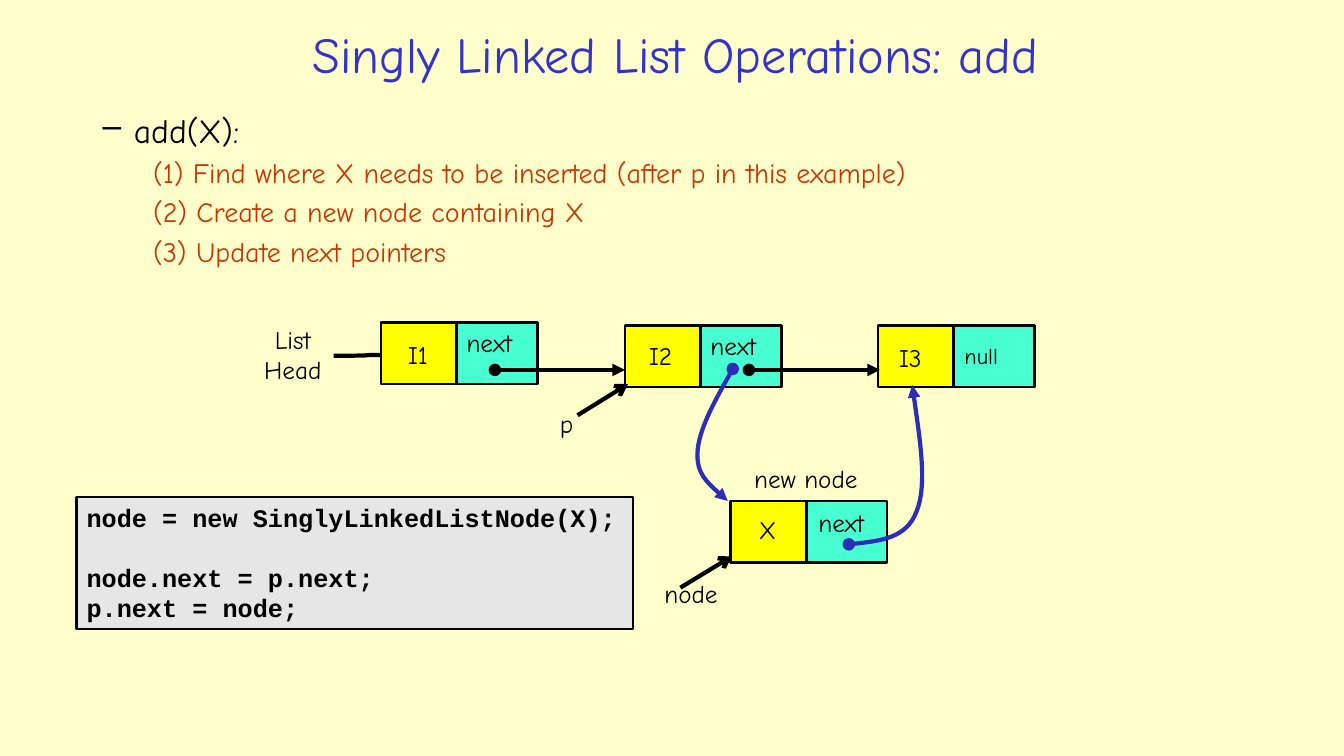
from lxml import etree
from pptx import Presentation
from pptx.dml.color import RGBColor
from pptx.enum.shapes import MSO_CONNECTOR, MSO_SHAPE
from pptx.enum.text import MSO_ANCHOR, MSO_AUTO_SIZE, PP_ALIGN
from pptx.oxml.ns import qn
from pptx.util import Inches, Pt

CELL = Inches(0.1)  # one column or row of the grid
COLUMNS, ROWS = 133.33, 75

CREAM = RGBColor(0xFF, 0xFF, 0xCC)
BLUE = RGBColor(0x33, 0x33, 0xCC)
DEEP_BLUE = RGBColor(0x2D, 0x2D, 0xB9)
RED = RGBColor(0xCC, 0x33, 0x00)
BLACK = RGBColor(0, 0, 0)
TEAL = RGBColor(0x47, 0xFF, 0xD1)
YELLOW = RGBColor(0xFF, 0xFF, 0x00)
GREY = RGBColor(0xE6, 0xE6, 0xE6)

LEFT, CENTER = PP_ALIGN.LEFT, PP_ALIGN.CENTER
TOP, MIDDLE = MSO_ANCHOR.TOP, MSO_ANCHOR.MIDDLE
FIT_SHAPE = MSO_AUTO_SIZE.SHAPE_TO_FIT_TEXT
RECTANGLE = MSO_SHAPE.RECTANGLE
STRAIGHT, CURVE = MSO_CONNECTOR.STRAIGHT, MSO_CONNECTOR.CURVE

LABEL = {"name": "Comic Neue", "size": Pt(18)}
NULL = LABEL | {"size": Pt(16)}
TITLE = LABEL | {"size": Pt(36)}
HEADING = LABEL | {"size": Pt(24)}
STEP = LABEL | {"size": Pt(20)}
CODE = {"name": "Courier New", "size": Pt(18), "bold": True}
CODE_LINE = Pt(21.6)

ITEM_WIDTH, NEXT_WIDTH, NODE_HEIGHT = 7.5, 8, 6.1


def grid(*lengths):
    return [round(length * CELL) for length in lengths]


class ListSlide:
    """Holds the slide and draws on it in grid columns and rows."""

    def __init__(self, deck):
        self.page = deck.slides.add_slide(deck.slide_layouts[6])
        self.shapes = self.page.shapes
        self.page.background.fill.solid()
        self.page.background.fill.fore_color.rgb = CREAM

    def add_span(self, para, words, style, color=BLACK, align=LEFT):
        para.alignment = align
        span = para.add_run()
        span.text = words
        for name, value in style.items():
            setattr(span.font, name, value)
        span.font.color.rgb = color

    def text(self, place, lines, style=LABEL, color=BLACK, align=LEFT, anchor=TOP, wrap=False):
        box = self.shapes.add_textbox(*grid(*place))
        frame = box.text_frame
        frame.word_wrap = wrap
        if not wrap:
            frame.auto_size = FIT_SHAPE
        frame.vertical_anchor = anchor
        for index, words in enumerate(lines):
            para = frame.add_paragraph() if index else frame.paragraphs[0]
            self.add_span(para, words, style, color, align)
        return box

    def outline(self, place, fill):
        box = self.shapes.add_shape(RECTANGLE, *grid(*place))
        box.shadow.inherit = False
        box.fill.solid()
        box.fill.fore_color.rgb = fill
        box.line.color.rgb = BLACK
        box.line.width = Pt(2)
        box.text_frame.vertical_anchor = TOP
        return box

    def node(self, left, top, pointer=""):
        middle = left + ITEM_WIDTH
        box = self.outline((middle, top, NEXT_WIDTH, NODE_HEIGHT), TEAL)
        if pointer:
            self.add_span(box.text_frame.paragraphs[0], pointer, LABEL)
        self.outline((left, top, ITEM_WIDTH, NODE_HEIGHT), YELLOW)

    def stroke(self, shape, color, head, tail):
        shape.line.color.rgb = color
        shape.line.width = Pt(3)
        outline = shape._element.spPr.find(qn("a:ln"))
        for tag, kind in (("a:headEnd", head), ("a:tailEnd", tail)):
            if kind:
                etree.SubElement(outline, qn(tag), type=kind)

    def arrow(self, start, end, head=None, tail=None, kind=STRAIGHT):
        line = self.shapes.add_connector(kind, *grid(*start, *end))
        self.stroke(line, BLACK, head, tail)
        etree.SubElement(line._element.spPr, qn("a:effectLst"))

    def curved_pointer(self, start, *controls):
        """Draw cubic curves; each takes three of the control points."""
        builder = self.shapes.build_freeform(*grid(*start))
        builder.add_line_segments([grid(*point) for point in controls], close=False)
        shape = builder.convert_to_shape()
        shape.shadow.inherit = False
        shape.fill.background()
        segments = shape._element.xpath(".//a:lnTo")
        for first in range(0, len(segments), 3):
            curve = etree.Element(qn("a:cubicBezTo"))
            segments[first].addprevious(curve)
            for segment in segments[first:first + 3]:
                curve.append(segment[0])
                segment.getparent().remove(segment)
        self.stroke(shape, DEEP_BLUE, "oval", "triangle")

    def steps(self, place, heading, lines):
        box = self.text(place, [heading], HEADING, wrap=True)
        first = box.text_frame.paragraphs[0]
        self.indent(first, 1, 0.81, -0.31)
        etree.SubElement(first._p.get_or_add_pPr(), qn("a:buChar"), char="–")
        for words in lines:
            para = box.text_frame.add_paragraph()
            self.indent(para, 2, 1.25, -0.25)
            para.space_before = Pt(4)
            self.add_span(para, words, STEP, RED)

    def indent(self, para, level, margin, hanging):
        para.level = level
        properties = para._p.get_or_add_pPr()
        properties.set("marL", str(Inches(margin)))
        properties.set("indent", str(Inches(hanging)))

    def code(self, place, groups):
        """Set groups of code lines with a line's gap between groups."""
        frame = self.outline(place, GREY).text_frame
        frame.word_wrap = True
        para = frame.paragraphs[0]
        for group_index, group in enumerate(groups):
            for line_index, words in enumerate(group):
                if group_index or line_index:
                    para = frame.add_paragraph()
                if group_index and not line_index:
                    para.space_before = CODE_LINE
                para.line_spacing = CODE_LINE
                self.add_span(para, words, CODE)


def main():
    deck = Presentation()
    deck.slide_width, deck.slide_height = grid(COLUMNS, ROWS)
    slide = ListSlide(deck)

    slide.text((20.2, 1.5, 93.6, 7.6), ["Singly Linked List Operations: add"],
               TITLE, BLUE, CENTER, MIDDLE, wrap=True)
    slide.steps((4.2, 10.4, 125.1, 18.7), "add(X):", [
        "(1) Find where X needs to be inserted (after p in this example)",
        "(2) Create a new node containing X",
        "(3) Update next pointers",
    ])

    slide.arrow((33.1, 35.3), (39.5, 35.2), kind=CURVE)
    for left, top, pointer in (
        (37.8, 32, "next"), (62, 32.3, "next"), (87.1, 32.3, ""), (72.5, 49.7, ""),
    ):
        slide.node(left, top, pointer)

    for place, words in (
        ((39.5, 33.2, 4.5, 4), "I1"),
        ((63.4, 33.3, 4.9, 4), "I2"),
        ((88.2, 33.5, 4.9, 4), "I3"),
        ((74.3, 50.5, 3.8, 4), "X"),
        ((80.2, 49.8, 7.4, 4), "next"),
    ):
        slide.text(place, [words])
    slide.text((94.7, 33.5, 5.6, 3.7), ["null"], NULL)
    for place, lines in (
        ((25, 31.7, 8.1, 7.1), ["List", "Head"]),
        ((54.5, 40, 3.4, 4), ["p"]),
        ((64.8, 56.9, 7.5, 4), ["node"]),
        ((73.6, 45.5, 12.7, 4), ["new node"]),
    ):
        slide.text(place, lines, align=CENTER)

    for start, end in (((49.1, 36.7), (62, 36.7)), ((74.3, 36.7), (87.3, 36.7))):
        slide.arrow(start, end, "oval", "triangle")
    for start, end in (((57.3, 41.2), (62.3, 38.1)), ((67.5, 58.3), (72.6, 55.2))):
        slide.arrow(start, end, tail="arrow")
    slide.curved_pointer((72.7, 36.6), (71, 39.6), (69.3, 42.7), (69.2, 44.9),
                         (69.1, 47), (70.7, 48.4), (72.2, 49.7))
    slide.curved_pointer((84.2, 54), (87, 53.7), (89.9, 53.4), (90.9, 50.8),
                         (92, 48.2), (91.2, 43.2), (90.5, 38.2))

    slide.code((7.6, 49.3, 55.2, 13.1), [
        ["node = new SinglyLinkedListNode(X);"],
        ["node.next = p.next;", "p.next = node;"],
    ])
    deck.save("out.pptx")


if __name__ == "__main__":
    main()
